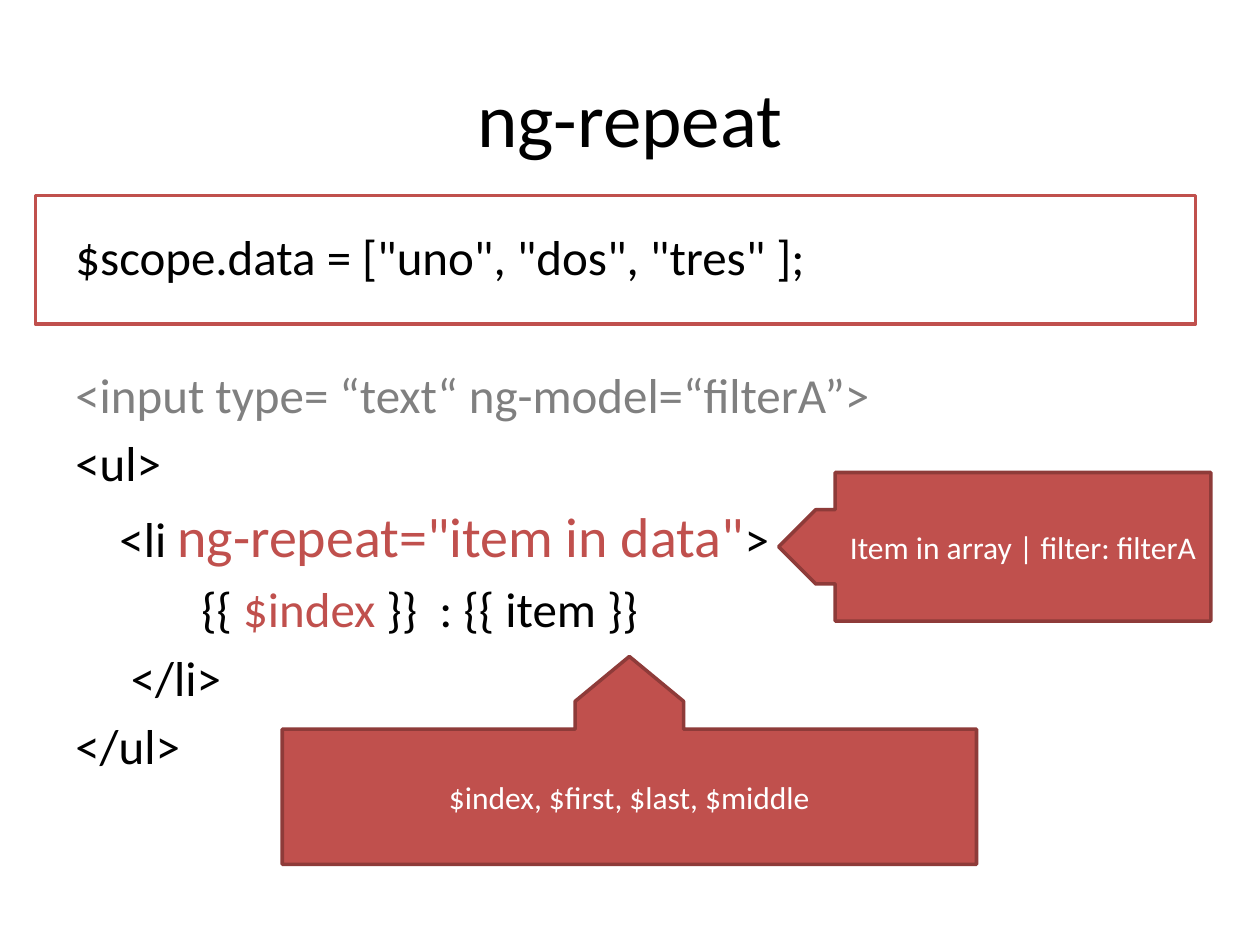
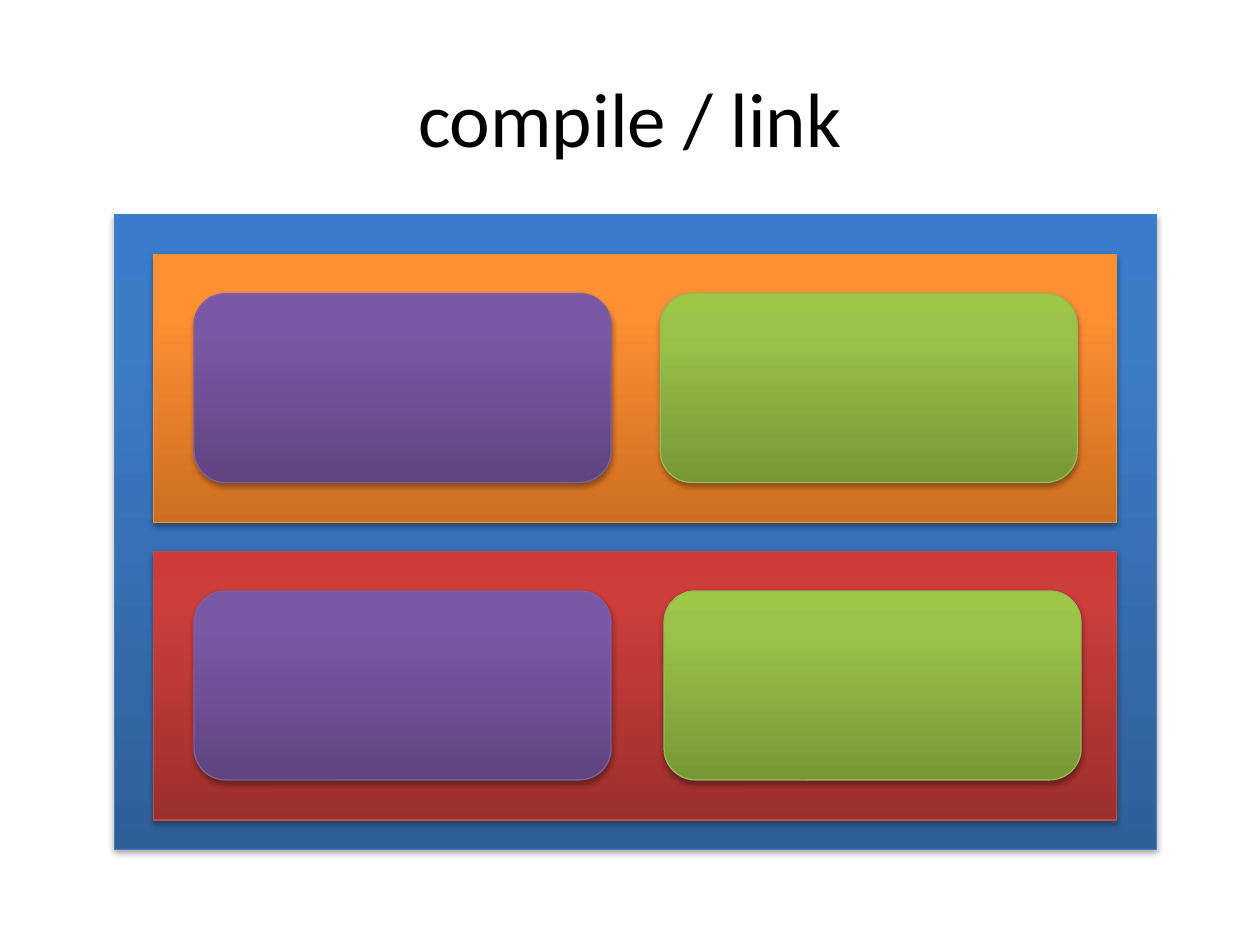
from pptx import Presentation
from pptx.dml.color import RGBColor
from pptx.enum.shapes import MSO_SHAPE
from pptx.enum.text import MSO_ANCHOR, PP_ALIGN
from pptx.oxml.ns import qn
from pptx.util import Inches, Pt
from lxml.etree import SubElement


class Theme:
    font = "Calibri"
    black, white, grey = "000000", "FFFFFF", "808080"
    red, dark_red = "C0504D", "8E3B39"
    title, code, code_big, note = 44, 28, 32, 18
    line_gap, block_gap = 5.6, 45
    # name: (gradient from bottom to top, outline)
    glossy = {
        "blue": (("2F5F99", "3D7CC7", "3A7CCB"), "4B7EBC"),
        "red": (("9C2F2D", "CB3E3A", "CE3B37"), "BF4C48"),
        "orange": (("CC6E20", "FF9034", "FF9136"), "F69240"),
        "purple": (("5F4480", "7B58A6", "7C57A8"), "7D60A0"),
        "green": (("779737", "9BC348", "9DC746"), "98B955"),
    }
    stops = (0, 80, 100)


T = Theme

# Content: (indent in inches, space before, runs of (text, colour, size))
CODE = [
    (0, T.line_gap, [('$scope.data = ["uno", "dos", "tres" ];', T.black, T.code)]),
    (0, T.block_gap, [("<input type= “text“ ng-model=“filterA”>", T.grey, T.code)]),
    (0, T.line_gap, [("<ul>", T.black, T.code)]),
    (0.35, T.line_gap, [("<li ", T.black, T.code),
                        ('ng-repeat="item in data"', T.red, T.code_big),
                        (">", T.black, T.code)]),
    (1, T.line_gap, [("{{ ", T.black, T.code), ("$index ", T.red, T.code),
                     ("}}  : {{ item }}", T.black, T.code)]),
    (0.44, T.line_gap, [("</li>", T.black, T.code)]),
    (0, T.line_gap, [("</ul>", T.black, T.code)]),
]
CALLOUTS = [
    ("Item in array | filter: filterA", MSO_SHAPE.LEFT_ARROW_CALLOUT,
     (6.18, 3.75, 3.43, 1.18), (0.5, 0.25, 0.25, 0.869)),
    ("$index, $first, $last, $middle", MSO_SHAPE.UP_ARROW_CALLOUT,
     (2.24, 5.21, 5.51, 1.65), (0.523, 0.261, 0.216, 0.65)),
]
# Bands of the compile / link diagram: (colour, top, left of the green box)
BANDS = [("red", 4.38, 5.27), ("orange", 2.02, 5.24)]

prs = Presentation()
prs.slide_width, prs.slide_height = Inches(10), Inches(7.5)


def rgb(value):
    return RGBColor.from_string(value)


def inches(box):
    return [Inches(v) for v in box]


def style(p, size, color, align=PP_ALIGN.CENTER):
    p.alignment = align
    p.font.name, p.font.size = T.font, Pt(size)
    p.font.color.rgb = rgb(color)


def text_box(s, box, anchor):
    tf = s.shapes.add_textbox(*inches(box)).text_frame
    tf.word_wrap, tf.vertical_anchor = True, anchor
    return tf


def new_slide(title):
    s = prs.slides.add_slide(prs.slide_layouts[6])
    p = text_box(s, (0.5, 0.3, 9, 1.25), MSO_ANCHOR.MIDDLE).paragraphs[0]
    p.text = title
    style(p, T.title, T.black)
    return s


def add_shape(s, kind, box, line, width):
    sp = s.shapes.add_shape(kind, *inches(box))
    sp.shadow.inherit = False
    sp.line.color.rgb, sp.line.width = rgb(line), Pt(width)
    return sp


def flat(s, kind, box, fill, line):
    sp = add_shape(s, kind, box, line, 2)
    sp.fill.solid()
    sp.fill.fore_color.rgb = rgb(fill)
    return sp


def glossy(s, kind, box, name):
    colors, line = T.glossy[name]
    sp = add_shape(s, kind, box, line, 0.75)
    sp.fill.gradient()
    sp.fill.gradient_angle = 90
    spPr = sp.element.spPr
    # Three gradient stops
    stops = spPr.find(qn("a:gradFill")).find(qn("a:gsLst"))
    for old in list(stops):
        stops.remove(old)
    for pos, color in zip(T.stops, colors):
        gs = SubElement(stops, qn("a:gs"), pos=str(pos * 1000))
        SubElement(gs, qn("a:srgbClr"), val=color)
    # Soft shadow straight below
    shadow = SubElement(spPr.find(qn("a:effectLst")), qn("a:outerShdw"),
                        blurRad=str(Pt(3.1)), dist=str(Pt(1.8)),
                        dir="5400000", rotWithShape="0")
    color = SubElement(shadow, qn("a:srgbClr"), val=T.black)
    SubElement(color, qn("a:alpha"), val="35000")


# Slide 1: code listing with callouts
s = new_slide("ng-repeat")
frame = flat(s, MSO_SHAPE.RECTANGLE, (0.28, 1.55, 9.21, 1.02), T.white, T.red)
s.shapes._spTree.insert(2, frame.element)  # behind the title
tf = text_box(s, (0.5, 1.75, 9, 4.95), MSO_ANCHOR.TOP)
for i, (indent, before, runs) in enumerate(CODE):
    p = tf.add_paragraph() if i else tf.paragraphs[0]
    style(p, T.code, T.black, PP_ALIGN.LEFT)
    p.space_before = Pt(before)
    p._p.get_or_add_pPr().set("marL", str(Inches(indent)))
    for text, color, size in runs:
        r = p.add_run()
        r.text = text
        r.font.name, r.font.size = T.font, Pt(size)
        r.font.color.rgb = rgb(color)

for text, kind, box, adjustments in CALLOUTS:
    sp = flat(s, kind, box, T.red, T.dark_red)
    for i, value in enumerate(adjustments):
        sp.adjustments[i] = value
    tf = sp.text_frame
    tf.word_wrap, tf.vertical_anchor = True, MSO_ANCHOR.MIDDLE
    tf.paragraphs[0].text = text
    style(tf.paragraphs[0], T.note, T.white)

# Slide 2: nested blocks
s = new_slide("compile / link")
glossy(s, MSO_SHAPE.RECTANGLE, (0.91, 1.7, 8.27, 5.04), "blue")
for band, top, green_left in BANDS:
    glossy(s, MSO_SHAPE.RECTANGLE, (1.22, top, 7.64, 2.13), band)
    for name, left in (("purple", 1.54), ("green", green_left)):
        glossy(s, MSO_SHAPE.ROUNDED_RECTANGLE, (left, top + 0.31, 3.31, 1.5), name)

prs.save("out.pptx")
